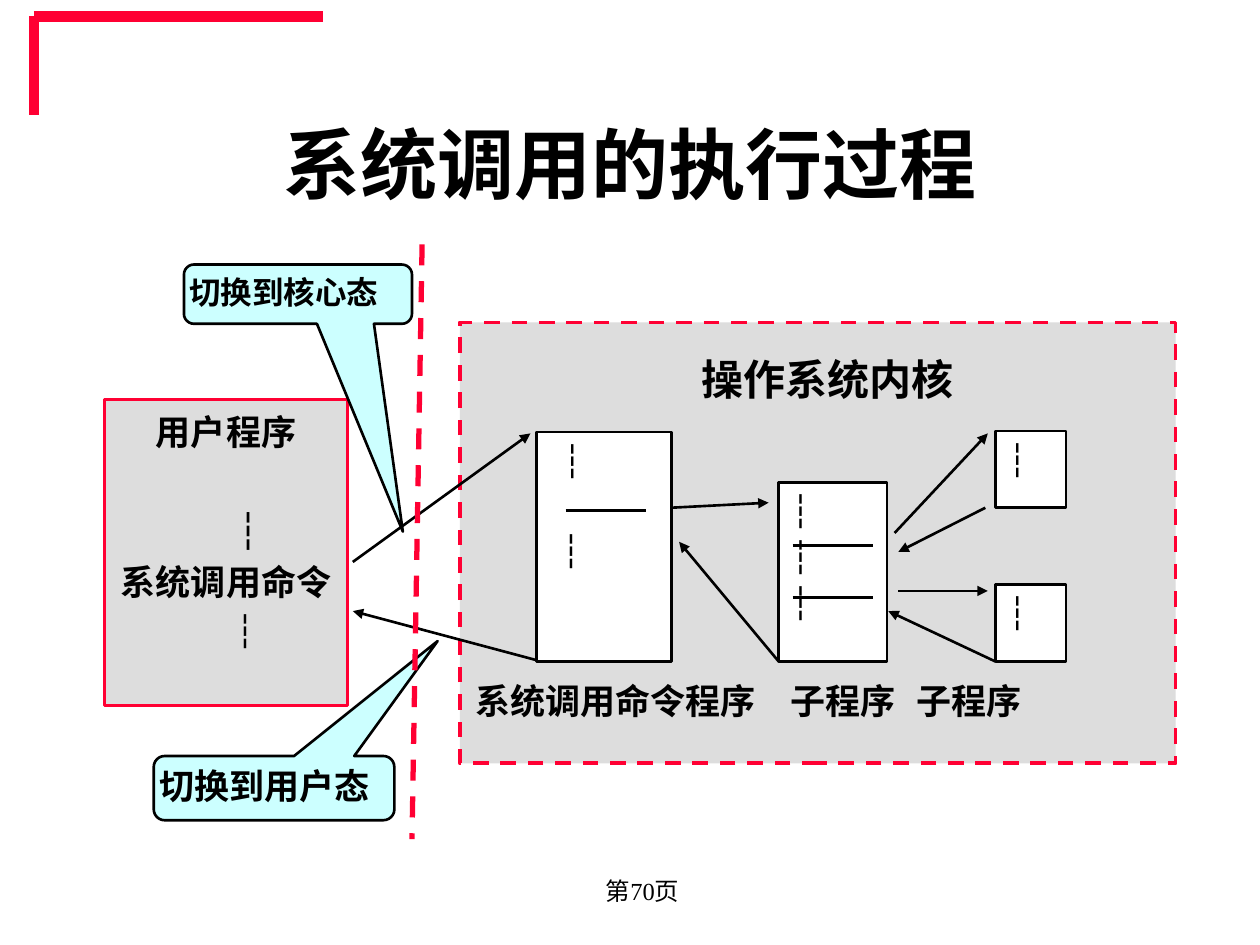
"""Build a slide on how a system call is executed."""
from lxml.etree import SubElement
from pptx import Presentation
from pptx.dml.color import RGBColor
from pptx.enum.dml import MSO_LINE
from pptx.enum.shapes import MSO_CONNECTOR, MSO_SHAPE
from pptx.enum.text import MSO_ANCHOR, PP_ALIGN
from pptx.oxml.ns import qn
from pptx.util import Inches, Pt

RED = RGBColor(0xFF, 0x00, 0x33)
BLACK = RGBColor(0x00, 0x00, 0x00)
WHITE = RGBColor(0xFF, 0xFF, 0xFF)
GREY = RGBColor(0xDD, 0xDD, 0xDD)
CYAN = RGBColor(0xCC, 0xFF, 0xFF)
LEFT, CENTER = PP_ALIGN.LEFT, PP_ALIGN.CENTER

prs = Presentation()
prs.slide_width, prs.slide_height = Inches(10), Inches(7.5)
slide = prs.slides.add_slide(prs.slide_layouts[5])
shapes = slide.shapes
U = prs.slide_width // 100


def grid(*cells):
    return [int(c * U) for c in cells]


def write(tf, text, size=20, bold=True, align=LEFT, before=0, indent=0,
          tabs=(), leading=1.2):
    p = tf.paragraphs[0] if not tf.text else tf.add_paragraph()
    p.alignment = align
    p.space_before = Pt(before)
    if leading:
        p.line_spacing = Pt(size * leading)
    pPr = p._p.get_or_add_pPr()
    pPr.set("marL", str(int(indent * U)))
    pPr.set("indent", "0")
    if tabs:
        tab_list = SubElement(pPr, qn("a:tabLst"))
        for pos in tabs:
            SubElement(tab_list, qn("a:tab"), pos=str(int(pos * U)), algn="l")
    r = p.add_run()
    r.text = text
    r.font.name, r.font.size, r.font.bold = "Times New Roman", Pt(size), bold
    r.font.color.rgb = BLACK
    SubElement(r._r.get_or_add_rPr(), qn("a:ea"), typeface="Noto Sans CJK SC")


title = shapes.title
title.left, title.top, title.width, title.height = grid(7.5, 6.7, 85, 12.5)
title.text_frame.vertical_anchor = MSO_ANCHOR.MIDDLE
write(title.text_frame, "系统调用的执行过程", size=44, align=CENTER, leading=None)

page = shapes.add_textbox(*grid(40.6, 68.2, 20.8, 5))
page.text_frame.word_wrap = True
page.text_frame.vertical_anchor = MSO_ANCHOR.MIDDLE
write(page.text_frame, "第70页", size=14, bold=False, align=CENTER, leading=None)

RECT, CALLOUT = MSO_SHAPE.RECTANGLE, MSO_SHAPE.ROUNDED_RECTANGULAR_CALLOUT
DOTS = dict(text="┆", size=18)
boxes = [
    (RECT, (36.5, 25.6, 56.8, 35), GREY, RED, 2.25, (0, 0), []),
    (RECT, (8.3, 31.7, 19.3, 24.3), GREY, RED, 1.5, (0, 0.9), [
        dict(text="用户程序", align=CENTER),
        dict(text="┆", align=CENTER, before=32, indent=3.5),
        dict(text="系统调用命令", align=CENTER, before=5.5),
        dict(DOTS, align=CENTER, before=5, indent=3)]),
    (RECT, (42.6, 34.3, 10.7, 18.2), WHITE, BLACK, 1.5, (1, 0.7), [
        dict(DOTS, indent=1.1), dict(DOTS, indent=1, before=30)]),
    (RECT, (61.8, 38.3, 8.6, 14.2), WHITE, BLACK, 1.5, (1, 0.7),
     [DOTS] + [dict(DOTS, before=4.5)] * 2),
    (RECT, (79, 34.2, 5.6, 6.1), WHITE, BLACK, 1.5, (1, 0.7), [DOTS]),
    (RECT, (79, 46.4, 5.6, 6.1), WHITE, BLACK, 1.5, (1, 0.7), [DOTS]),
    (RECT, (36.9, 27.6, 56, 6.1), GREY, None, 0, (0.2, 0.5), [
        dict(text="操作系统内核", size=24, align=CENTER, indent=1.6)]),
    (RECT, (37.5, 53.4, 48.9, 5.1), GREY, None, 0, (0.2, 0.5), [
        dict(text="系统调用命令程序\t子程序\t子程序", tabs=(24.7, 37.5))]),
    (CALLOUT, (12.2, 60, 19.1, 5.1), CYAN, BLACK, 1.5, (0.2, 0.4), [
        dict(text="切换到用户态")]),
    (CALLOUT, (14.6, 21, 18.1, 4.7), CYAN, BLACK, 1.5, (0.2, 0.4), [
        dict(text="切换到核心态", size=18)]),
]
tips = iter([(0.68, -2.29, 0.17), (0.46, 4.01, 0.17)])
for kind, cells, fill, color, width, (side, top), paragraphs in boxes:
    s = shapes.add_shape(kind, *grid(*cells))
    s.shadow.inherit = False
    s.fill.solid()
    s.fill.fore_color.rgb = fill
    if color is None:
        s.line.fill.background()
    else:
        s.line.color.rgb, s.line.width = color, Pt(width)
    if not paragraphs:
        s.line.dash_style = MSO_LINE.DASH
    if kind == CALLOUT:
        for i, value in enumerate(next(tips)):
            s.adjustments[i] = value
    tf = s.text_frame
    tf.word_wrap = True
    tf.vertical_anchor = MSO_ANCHOR.TOP
    tf.margin_left, tf.margin_right, tf.margin_top, tf.margin_bottom = grid(
        side, side, top, 0)
    for paragraph in paragraphs:
        write(tf, **paragraph)

corner = [(2.7, 1.3, 25.6, 1.3), (2.7, 1.3, 2.7, 9.1)]
boundary = [(33.5, 19.4, 32.7, 66.6)]
calls = [(44.9, 40.5, 51.3, 40.5), (62.9, 43.3, 69.3, 43.3),
         (62.9, 47.4, 69.3, 47.4)]
arrows = [(42.6, 52.4, 28, 48.5), (28, 44.6, 42.1, 34.4),
          (71, 42.3, 78.4, 34.4), (78.2, 40.3, 71.3, 43.8),
          (71.3, 46.9, 78.4, 46.9), (79, 52.5, 70.5, 48.5),
          (53.2, 40.3, 61, 39.9), (61.8, 52.5, 53.9, 43)]
for lines, color, width in [(corner, RED, 6), (calls, BLACK, 1.5),
                            (arrows, BLACK, 1.5), (boundary, RED, 3)]:
    for ends in lines:
        s = shapes.add_connector(MSO_CONNECTOR.STRAIGHT, *grid(*ends))
        s.line.color.rgb, s.line.width = color, Pt(width)
        if lines is boundary:
            s.line.dash_style = MSO_LINE.DASH
        if lines is arrows:
            SubElement(s.line._get_or_add_ln(), qn("a:tailEnd"), type="triangle")
        SubElement(s._element.spPr, qn("a:effectLst"))

prs.save("out.pptx")
